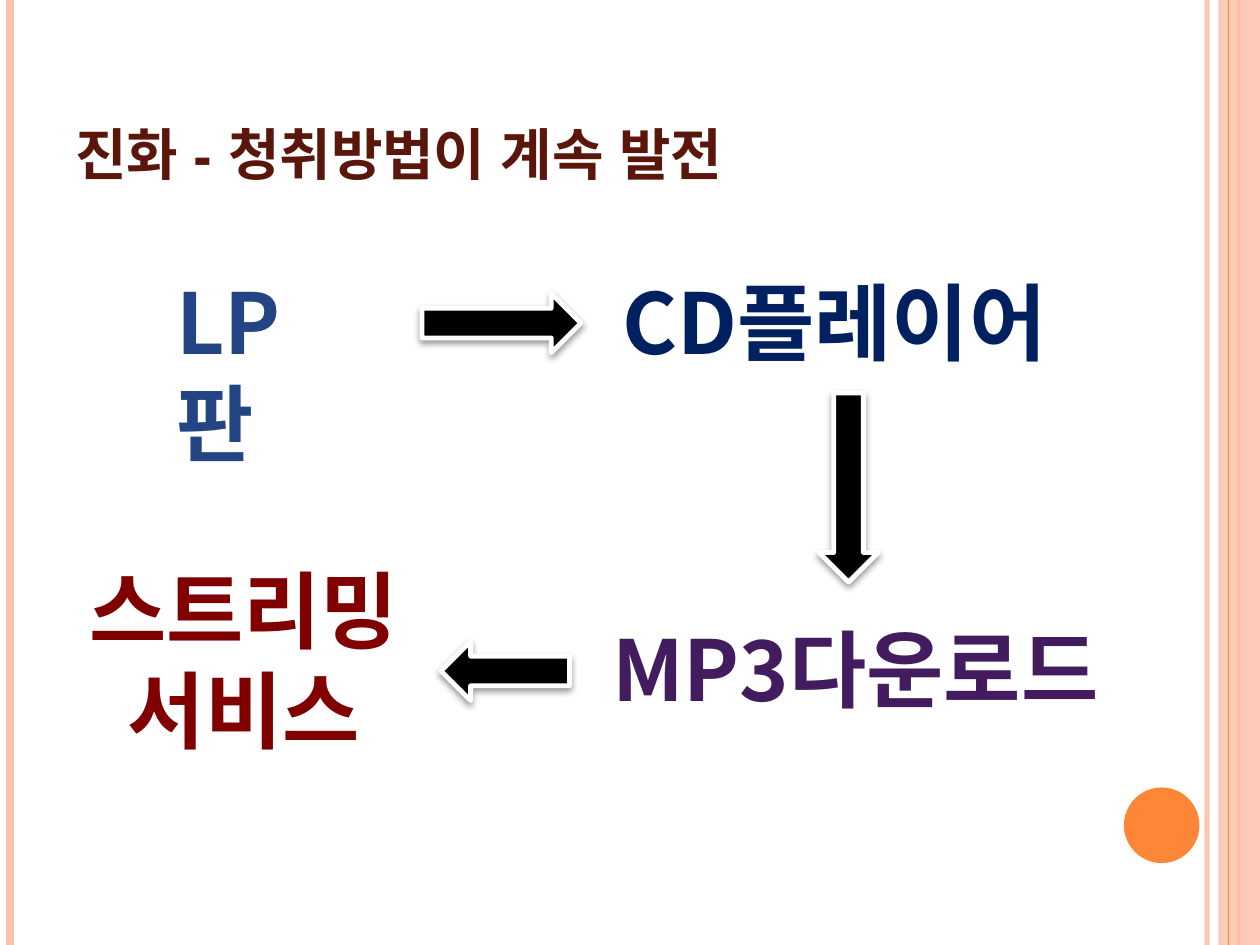
import pptx
import pptx.util
import pptx.dml.color
import pptx.enum.shapes
import pptx.enum.text
import pptx.oxml
from lxml import etree

Inches = pptx.util.Inches
Pt = pptx.util.Pt
RGB = pptx.dml.color.RGBColor
Shape = pptx.enum.shapes.MSO_SHAPE
Align = pptx.enum.text.PP_ALIGN
Anchor = pptx.enum.text.MSO_ANCHOR
Fit = pptx.enum.text.MSO_AUTO_SIZE
qn = pptx.oxml.ns.qn

PEACH = RGB(0xFE, 0xC3, 0xAE)
ORANGE = RGB(0xFE, 0x86, 0x37)
BROWN = RGB(0x5A, 0x16, 0x0B)
BLUE = RGB(0x24, 0x45, 0x83)
NAVY = RGB(0x00, 0x20, 0x60)
PURPLE = RGB(0x42, 0x1C, 0x5E)
MAROON = RGB(0x80, 0x00, 0x00)
BLACK = RGB(0, 0, 0)
WHITE = RGB(255, 255, 255)

SANS = "Noto Sans CJK KR"
SERIF = "TeX Gyre Schola"


def fade(fill, percent):
    """Set the opacity of a solid fill."""
    color = fill._xPr.find(qn("a:solidFill"))[0]
    etree.SubElement(color, qn("a:alpha"), val=str(percent * 1000))


def add_rule(slide, x, height, color, width, alpha=100):
    rule = slide.shapes.add_connector(
        pptx.enum.shapes.MSO_CONNECTOR.STRAIGHT,
        Inches(x), 0, Inches(x), Inches(height))
    rule.line.color.rgb = color
    rule.line.width = Pt(width)
    if alpha < 100:
        fade(rule.line.fill, alpha)
    etree.SubElement(rule._element.spPr, qn("a:effectLst"))


def add_solid(slide, kind, left, top, width, height, color):
    solid = slide.shapes.add_shape(
        kind, Inches(left), Inches(top), Inches(width), Inches(height))
    solid.shadow.inherit = False
    solid.fill.solid()
    solid.fill.fore_color.rgb = color
    solid.line.fill.background()
    return solid


def add_frame(slide, width, height):
    """Draw the side rules, the right band and the corner dot."""
    add_rule(slide, width - 0.42, height, PEACH, 3, 93)
    add_rule(slide, 0.08, height, PEACH, 4.5)
    add_rule(slide, width - 0.17, height, ORANGE, 1.5)
    band = add_solid(slide, Shape.RECTANGLE, width - 0.33, 0, 0.33, height, PEACH)
    fade(band.fill, 87)
    add_rule(slide, width - 0.25, height, ORANGE, 0.75)
    add_solid(slide, Shape.OVAL, width - 1.08, height - 1.25, 0.6, 0.6, ORANGE)


def add_text(slide, left, top, width, height, lines, color,
             size=48, face=SANS, align=Align.LEFT):
    box = slide.shapes.add_textbox(
        Inches(left), Inches(top), Inches(width), Inches(height))
    frame = box.text_frame
    frame.word_wrap = True
    frame.text = "\n".join(lines)
    for para in frame.paragraphs:
        para.alignment = align
        font = para.font
        font.name, font.size, font.bold = face, Pt(size), True
        font.color.rgb = color
        for run in para.runs:
            props = run._r.get_or_add_rPr()
            props.set("lang", "ko-KR")
            etree.SubElement(props, qn("a:ea"), typeface=SANS)
    return frame


def add_title(slide, left, top, width, height, text):
    frame = add_text(slide, left, top, width, height, [text], BROWN, 40, SERIF)
    frame.vertical_anchor = Anchor.BOTTOM
    for run in frame.paragraphs[0].runs:
        run._r.get_or_add_rPr().set("cap", "small")


def add_arrow(slide, kind, left, top, width, height, turn=0):
    arrow = add_solid(slide, kind, left, top, width, height, BLACK)
    arrow.rotation = turn
    arrow.line.color.rgb = WHITE
    arrow.line.width = Pt(2.75)
    effects = arrow._element.spPr.find(qn("a:effectLst"))
    shadow = etree.SubElement(
        effects, qn("a:outerShdw"), blurRad=str(Pt(4)), dist=str(Pt(2)),
        dir="5400000", rotWithShape="0")
    color = etree.SubElement(shadow, qn("a:srgbClr"), val=str(BLACK))
    etree.SubElement(color, qn("a:alpha"), val="40000")


def add_cycle(slide, left, top):
    """Place the four listening methods and the arrows between them."""
    steps = [
        (0.79, 0, 1.58, 0.91, ["LP판"], BLUE, Align.LEFT),
        (4.33, 0, 3.89, 0.91, ["CD플레이어"], NAVY, Align.LEFT),
        (4.25, 2.75, 4.28, 0.91, ["MP3다운로드"], PURPLE, Align.LEFT),
        (0, 2.28, 2.85, 1.72, ["스트리밍", "서비스"], MAROON, Align.CENTER),
    ]
    for x, y, width, height, lines, color, align in steps:
        frame = add_text(slide, left + x, top + y, width, height,
                         lines, color, align=align)
        frame.auto_size = Fit.SHAPE_TO_FIT_TEXT
    arrows = [
        (Shape.RIGHT_ARROW, 2.84, 0.23, 1.26, 0.47, 0),
        (Shape.DOWN_ARROW, 5.99, 1.02, 0.47, 1.5, 0),
        (Shape.RIGHT_ARROW, 2.99, 2.99, 1.02, 0.47, 180),
    ]
    for kind, x, y, width, height, turn in arrows:
        add_arrow(slide, kind, left + x, top + y, width, height, turn)


def main():
    deck = pptx.Presentation()
    deck.slide_width, deck.slide_height = Inches(10), Inches(7.5)
    slide = deck.slides.add_slide(deck.slide_layouts[6])
    add_frame(slide, 10, 7.5)
    add_title(slide, 0.5, 0.3, 8.17, 1.25, "진화 - 청취방법이 계속 발전")
    add_cycle(slide, 0.51, 2.1)
    deck.save("out.pptx")


if __name__ == "__main__":
    main()
